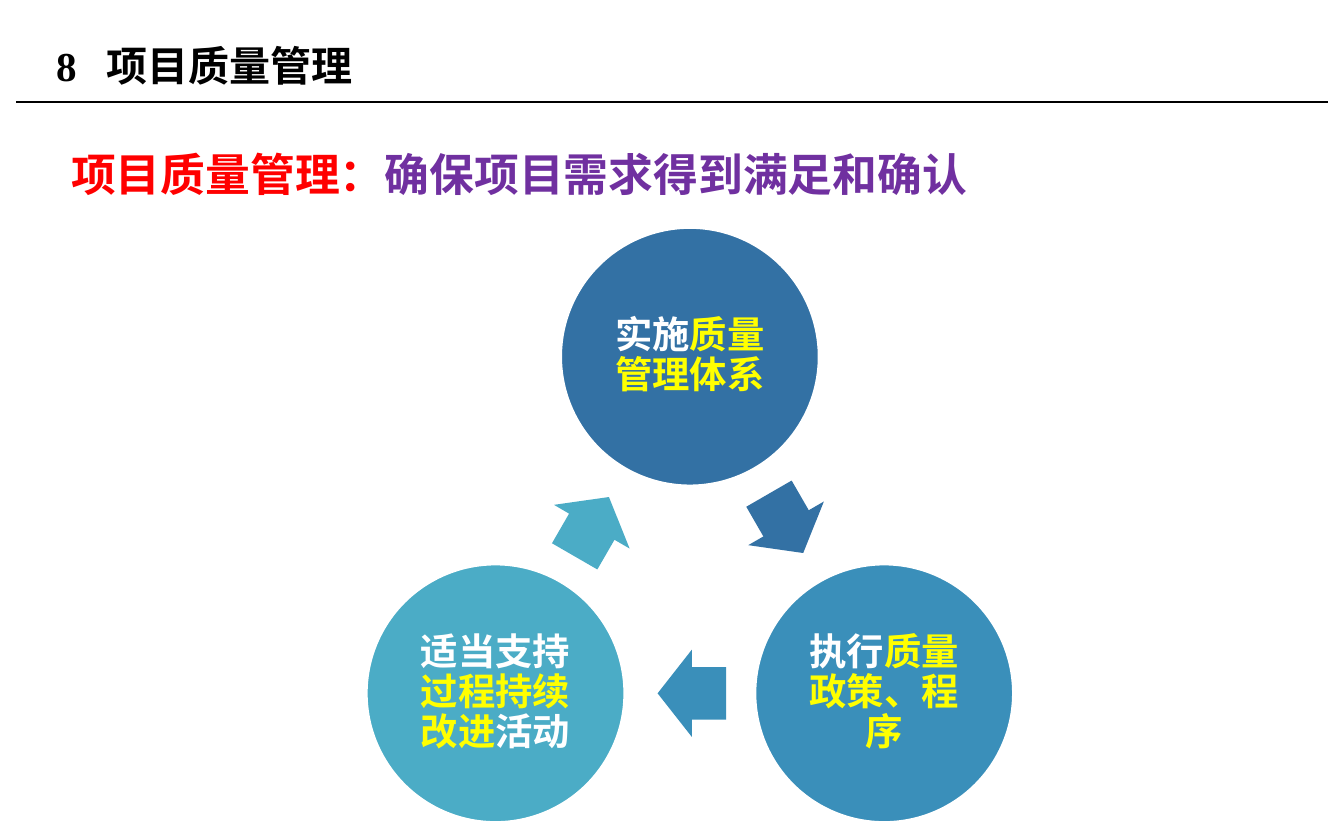
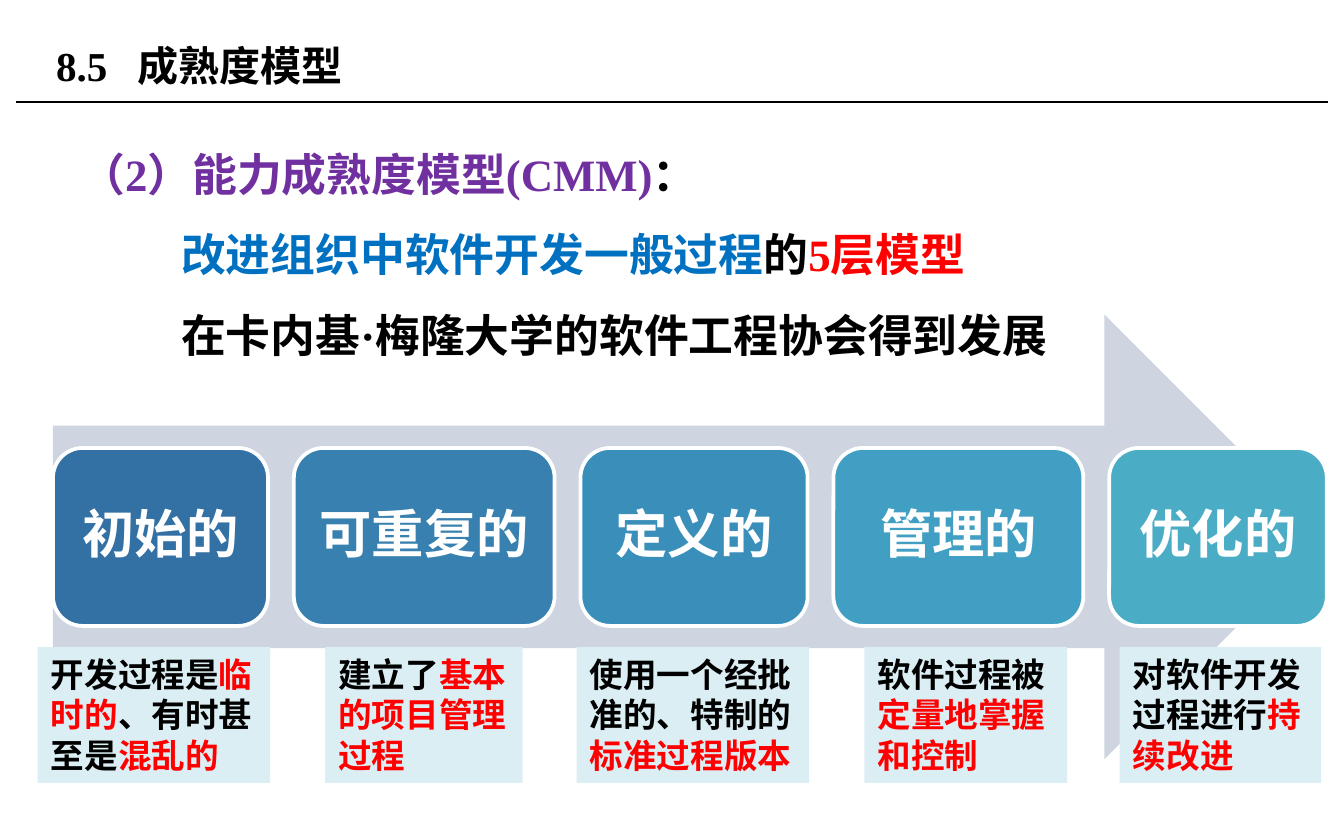
"""Builds two slides on project quality management and the capability maturity model."""
from math import cos, radians, sin, sqrt

from lxml import etree
from pptx import Presentation
from pptx.dml.color import RGBColor
from pptx.enum.shapes import MSO_CONNECTOR, MSO_SHAPE
from pptx.enum.text import MSO_ANCHOR, PP_ALIGN
from pptx.oxml.ns import qn
from pptx.util import Pt

STRAIGHT = MSO_CONNECTOR.STRAIGHT
OVAL = MSO_SHAPE.OVAL
RECTANGLE = MSO_SHAPE.RECTANGLE
ROUNDED = MSO_SHAPE.ROUNDED_RECTANGLE
RIGHT_ARROW = MSO_SHAPE.RIGHT_ARROW
TOP, MIDDLE = MSO_ANCHOR.TOP, MSO_ANCHOR.MIDDLE
LEFT, CENTER = PP_ALIGN.LEFT, PP_ALIGN.CENTER

LATIN, CHINESE = "Times New Roman", "Noto Sans CJK SC"
COLORS = {
    "black": "000000", "white": "FFFFFF", "red": "FF0000", "yellow": "FFFF00",
    "purple": "7030A0", "blue": "0070C0", "band": "CED5E0", "card": "DBEEF4",
    "step1": "3371A4", "step2": "3780AF", "step3": "3A8FBA",
    "step4": "409FC3", "step5": "4BACC6",
}

CYCLE = [
    ("step1", [("实施", "white"), ("质量管理体系", "yellow")]),
    ("step3", [("执行", "white"), ("质量政策、程序", "yellow")]),
    ("step5", [("适当支持", "white"), ("过程持续改进", "yellow"), ("活动", "white")]),
]
LEVELS = [
    ("step1", "初始的", 115.2),
    ("step2", "可重复的", 139.7),
    ("step3", "定义的", 121.7),
    ("step4", "管理的", 133.9),
    ("step5", "优化的", 116.6),
]
DESCRIPTIONS = [
    (0, 124.6, [("开发过程是", "black"), ("临时的", "red"),
                ("、有时甚至是", "black"), ("混乱的", "red")]),
    (154, 105.8, [("建立了", "black"), ("基本的项目管理过程", "red")]),
    (288.7, 124.6, [("使用一个经批准的、特制的", "black"), ("标准过程版本", "red")]),
    (442.8, 108.7, [("软件过程被", "black"), ("定量地掌握和控制", "red")]),
    (579.6, 108, [("对软件开发过程进行", "black"), ("持续改进", "red")]),
]
CMM_INTRO = [
    (36, [("（2）能力成熟度模型(CMM)", "purple"), ("：", "black")]),
    (90, [("改进组织中软件开发一般过程", "blue"), ("的", "black"), ("5层模型", "red")]),
    (90, [("在卡内基·梅隆大学的软件工程协会得到发展", "black")]),
]


def rgb(color):
    """Return the named colour."""
    return RGBColor.from_string(COLORS[color])


def points(box):
    """Convert a box of numbers to lengths."""
    return [Pt(value) for value in box]


def write(paragraph, runs, size, latin=LATIN, align=LEFT, spacing=None):
    """Fill a paragraph with bold coloured runs."""
    paragraph.alignment = align
    if spacing:
        paragraph.line_spacing = spacing
    for text, color in runs:
        run = paragraph.add_run()
        run.text = text
        run.font.size = Pt(size)
        run.font.bold = True
        run.font.name = latin
        run.font.color.rgb = rgb(color)
        etree.SubElement(run.font._element, qn("a:ea"), typeface=CHINESE)


def setup_frame(frame, anchor, inset=None):
    """Wrap a text frame, anchor it and set equal insets if given."""
    frame.word_wrap = True
    frame.vertical_anchor = anchor
    if inset is not None:
        frame.margin_left = frame.margin_right = Pt(inset)
        frame.margin_top = frame.margin_bottom = Pt(inset)
    return frame


def add_text_frame(slide, box, anchor=TOP):
    """Add a text box and return its frame."""
    return setup_frame(slide.shapes.add_textbox(*points(box)).text_frame, anchor)


def add_figure(slide, kind, box, fill, outline=None):
    """Add a flat filled shape, outlined if a colour is given."""
    figure = slide.shapes.add_shape(kind, *points(box))
    figure.shadow.inherit = False
    figure.fill.solid()
    figure.fill.fore_color.rgb = rgb(fill)
    if outline:
        figure.line.color.rgb = rgb(outline)
        figure.line.width = Pt(2)
    else:
        figure.line.fill.background()
    return figure


def add_header(slide, number, title, tab):
    """Add the chapter number, its title and the rule below."""
    rule = slide.shapes.add_connector(STRAIGHT, *points((8.6, 54.7, 711.4, 54.7)))
    rule.line.color.rgb = rgb("black")
    rule.line.width = Pt(0.75)
    etree.SubElement(rule._element.spPr, qn("a:effectLst"))
    paragraph = add_text_frame(slide, (23, 9.4, 459.4, 51.1), MIDDLE).paragraphs[0]
    stops = etree.SubElement(paragraph._p.get_or_add_pPr(), qn("a:tabLst"))
    etree.SubElement(stops, qn("a:tab"), pos=str(Pt(tab)), algn="l")
    write(paragraph, [(f"{number}\t{title}", "black")], 22)


def add_cycle(slide, box):
    """Place the circles at equal angles with an arrow after each."""
    left, top, width, _ = box
    diameter, arrow_w, arrow_h = 139, 36.7, 46.8
    radius = (width - diameter) / sqrt(3)
    center_x, center_y = left + width / 2, top + diameter / 2 + radius
    step = 360 / len(CYCLE)

    def around(angle, distance, w, h):
        """Return a box centred at a clockwise angle from the top."""
        x = center_x + distance * sin(radians(angle))
        y = center_y - distance * cos(radians(angle))
        return x - w / 2, y - h / 2, w, h

    for index, (color, runs) in enumerate(CYCLE):
        angle = index * step
        circle = add_figure(slide, OVAL, around(angle, radius, diameter, diameter),
                            color, "white")
        label = setup_frame(circle.text_frame, MIDDLE, 2.2)
        write(label.paragraphs[0], runs, 20, CHINESE, CENTER, 0.9)
        arrow = add_figure(slide, RIGHT_ARROW,
                           around(angle + step / 2 - 1, radius / 2, arrow_w, arrow_h), color)
        arrow.adjustments[0] = 0.6
        arrow.adjustments[1] = 0.5
        arrow.rotation = angle + step / 2


def add_levels(slide, box):
    """Lay the maturity levels in a row over a wide arrow."""
    left, top, width, height = box
    add_figure(slide, RIGHT_ARROW, box, "band")
    level_h = height * 0.4
    gap = (width - sum(level[2] for level in LEVELS)) / (len(LEVELS) - 1)
    for color, name, level_w in LEVELS:
        level = add_figure(slide, ROUNDED, (left, top + height * 0.3, level_w, level_h),
                           color, "white")
        label = setup_frame(level.text_frame, MIDDLE, 8.6)
        write(label.paragraphs[0], [(name, "white")], 28, align=CENTER, spacing=0.9)
        left += level_w + gap


def add_descriptions(slide, box):
    """Place a description card under each maturity level."""
    left, top, _, height = box
    for offset, card_w, runs in DESCRIPTIONS:
        card = add_figure(slide, RECTANGLE, (left + offset, top, card_w, height), "card")
        write(setup_frame(card.text_frame, TOP).paragraphs[0], runs, 18)


def build_quality_slide(slide):
    """Build the quality management slide."""
    add_header(slide, "8", "项目质量管理", 27)
    statement = add_text_frame(slide, (31, 60.5, 646.6, 280.8))
    write(statement.paragraphs[0],
          [("项目质量管理：", "red"), ("确保项目需求得到满足和确认", "purple")],
          24, CHINESE, spacing=1.5)
    add_cycle(slide, (196, 121.6, 347.2, 319.2))


def build_maturity_slide(slide):
    """Build the capability maturity model slide."""
    add_header(slide, "8.5", "成熟度模型", 43.5)
    intro = add_text_frame(slide, (0, 60.5, 692, 280.8))
    for index, (indent, runs) in enumerate(CMM_INTRO):
        paragraph = intro.add_paragraph() if index else intro.paragraphs[0]
        paragraph._p.get_or_add_pPr().set("marL", str(Pt(indent)))
        write(paragraph, runs, 24, spacing=1.5)
    add_levels(slide, (28.4, 168.5, 682.4, 238.3))
    add_descriptions(slide, (20.2, 346.7, 687.6, 72.7))


def main():
    """Build and save the presentation."""
    deck = Presentation()
    deck.slide_width, deck.slide_height = Pt(720), Pt(450)
    for build in (build_quality_slide, build_maturity_slide):
        build(deck.slides.add_slide(deck.slide_layouts[6]))
    deck.save("out.pptx")


if __name__ == "__main__":
    main()
